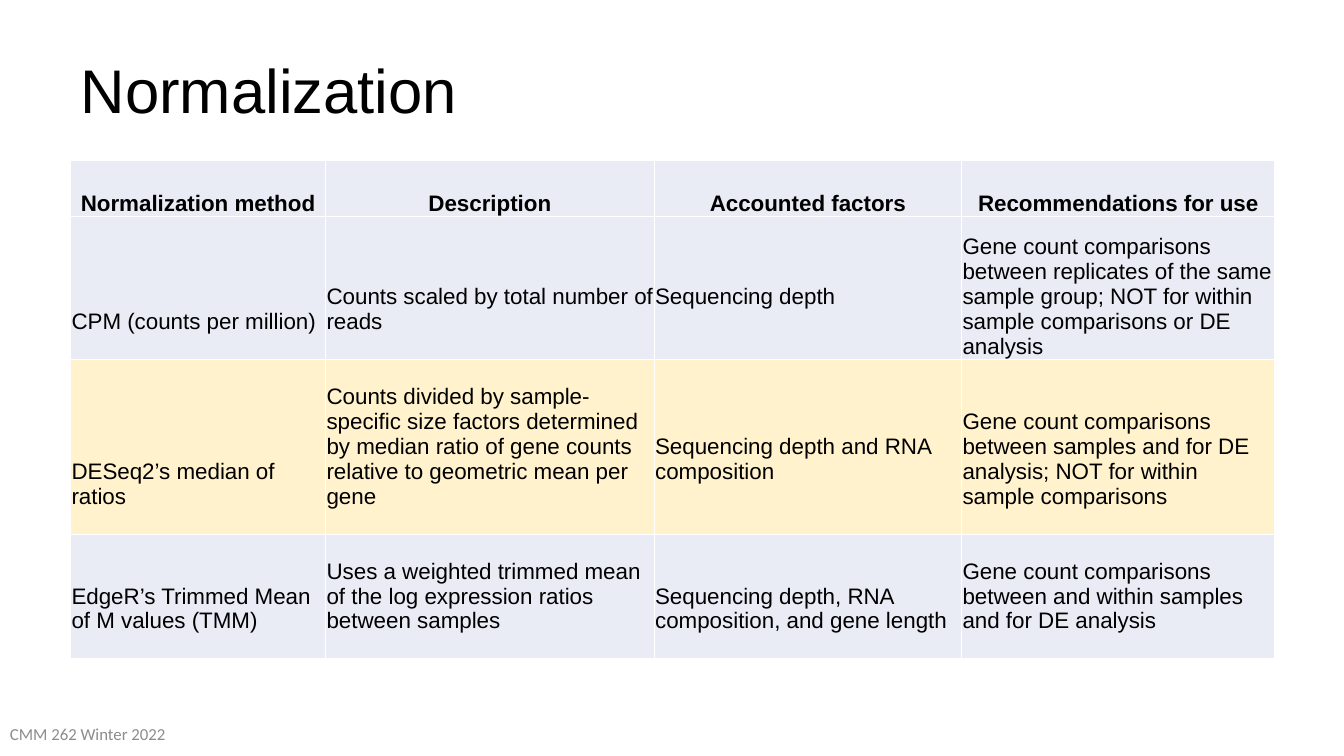
from dataclasses import dataclass

from lxml.etree import SubElement
from pptx import Presentation
from pptx.dml.color import RGBColor
from pptx.enum.text import MSO_ANCHOR, PP_ALIGN
from pptx.oxml.ns import qn
from pptx.slide import Slide
from pptx.table import _Cell
from pptx.text.text import TextFrame
from pptx.util import Pt

BLACK = RGBColor(0x00, 0x00, 0x00)
GRAY = RGBColor(0x8C, 0x8C, 0x8C)
WHITE = RGBColor(0xFF, 0xFF, 0xFF)
LAVENDER = RGBColor(0xE9, 0xEB, 0xF5)
CREAM = RGBColor(0xFF, 0xF2, 0xCC)

COLUMN_WIDTHS = (182.2, 234.7, 219.6, 223.9)
CELL_MARGIN = 0.7
LINE_HEIGHT = 17.9


@dataclass
class MethodRow:
    height: float
    texts: tuple[str, ...]
    lines_below: tuple[int, ...]
    fill: RGBColor = LAVENDER
    header: bool = False


ROWS = (
    MethodRow(
        39.7,
        ("Normalization method", "Description", "Accounted factors", "Recommendations for use"),
        (0, 0, 0, 0),
        header=True,
    ),
    MethodRow(
        102.1,
        (
            "CPM (counts per million)",
            "Counts scaled by total number of reads",
            "Sequencing depth",
            "Gene count comparisons between replicates of the same sample group; "
            "NOT for within sample comparisons or DE analysis",
        ),
        (1, 1, 2, 0),
    ),
    MethodRow(
        125,
        (
            "DESeq2’s median of ratios",
            "Counts divided by sample-specific size factors determined by median ratio "
            "of gene counts relative to geometric mean per gene",
            "Sequencing depth and RNA composition",
            "Gene count comparisons between samples and for DE analysis; "
            "NOT for within sample comparisons",
        ),
        (1, 1, 2, 1),
        fill=CREAM,
    ),
    MethodRow(
        89,
        (
            "EdgeR’s Trimmed Mean of M values (TMM)",
            "Uses a weighted trimmed mean of the log expression ratios between samples",
            "Sequencing depth, RNA composition, and gene length",
            "Gene count comparisons between and within samples and for DE analysis",
        ),
        (1, 1, 1, 1),
    ),
)


def write_text(text_frame: TextFrame, text: str, font_name: str, size: float,
               color: RGBColor, bold: bool = False,
               alignment: PP_ALIGN = PP_ALIGN.LEFT) -> None:
    text_frame.text = text
    paragraph = text_frame.paragraphs[0]
    paragraph.alignment = alignment
    font = paragraph.runs[0].font
    font.name = font_name
    font.size = Pt(size)
    font.bold = bold
    font.color.rgb = color


def add_borders(cell: _Cell, color: RGBColor, width: float) -> None:
    properties = cell._tc.get_or_add_tcPr()
    for side in ("a:lnL", "a:lnR", "a:lnT", "a:lnB"):
        line = SubElement(properties, qn(side), w=str(Pt(width)))
        SubElement(SubElement(line, qn("a:solidFill")), qn("a:srgbClr"), val=str(color))


def format_cell(cell: _Cell, text: str, lines_below: int, row: MethodRow) -> None:
    add_borders(cell, WHITE, 1)
    cell.fill.solid()
    cell.fill.fore_color.rgb = row.fill
    cell.vertical_anchor = MSO_ANCHOR.BOTTOM
    cell.margin_left = cell.margin_right = cell.margin_top = Pt(CELL_MARGIN)
    cell.margin_bottom = Pt(lines_below * LINE_HEIGHT)
    alignment = PP_ALIGN.CENTER if row.header else PP_ALIGN.LEFT
    write_text(cell.text_frame, text, "Arial", 16, BLACK, row.header, alignment)


def add_title(slide: Slide) -> None:
    title = slide.shapes.title
    title.left, title.top, title.width, title.height = Pt(50.4), Pt(18.7), Pt(828), Pt(95.8)
    write_text(title.text_frame, "Normalization", "Arial", 44, BLACK)
    title.text_frame.vertical_anchor = MSO_ANCHOR.MIDDLE
    title.text_frame.paragraphs[0].line_spacing = 0.9


def add_method_table(slide: Slide) -> None:
    table = slide.shapes.add_table(
        len(ROWS), len(COLUMN_WIDTHS), Pt(50.4), Pt(114.8),
        Pt(sum(COLUMN_WIDTHS)), Pt(sum(row.height for row in ROWS)),
    ).table
    for column, width in zip(table.columns, COLUMN_WIDTHS):
        column.width = Pt(width)
    for table_row, row in zip(table.rows, ROWS):
        table_row.height = Pt(row.height)
        for cell, text, lines_below in zip(table_row.cells, row.texts, row.lines_below):
            format_cell(cell, text, lines_below, row)


def add_course_label(slide: Slide) -> None:
    label = slide.shapes.add_textbox(Pt(0), Pt(509.8), Pt(324), Pt(28.8))
    label.text_frame.word_wrap = True
    label.text_frame.vertical_anchor = MSO_ANCHOR.MIDDLE
    write_text(label.text_frame, "CMM 262 Winter 2022", "Calibri", 12, GRAY)


def main() -> None:
    presentation = Presentation()
    presentation.slide_width = Pt(960)
    presentation.slide_height = Pt(540)
    slide = presentation.slides.add_slide(presentation.slide_layouts[5])
    add_title(slide)
    add_method_table(slide)
    add_course_label(slide)
    presentation.save("out.pptx")


if __name__ == "__main__":
    main()
